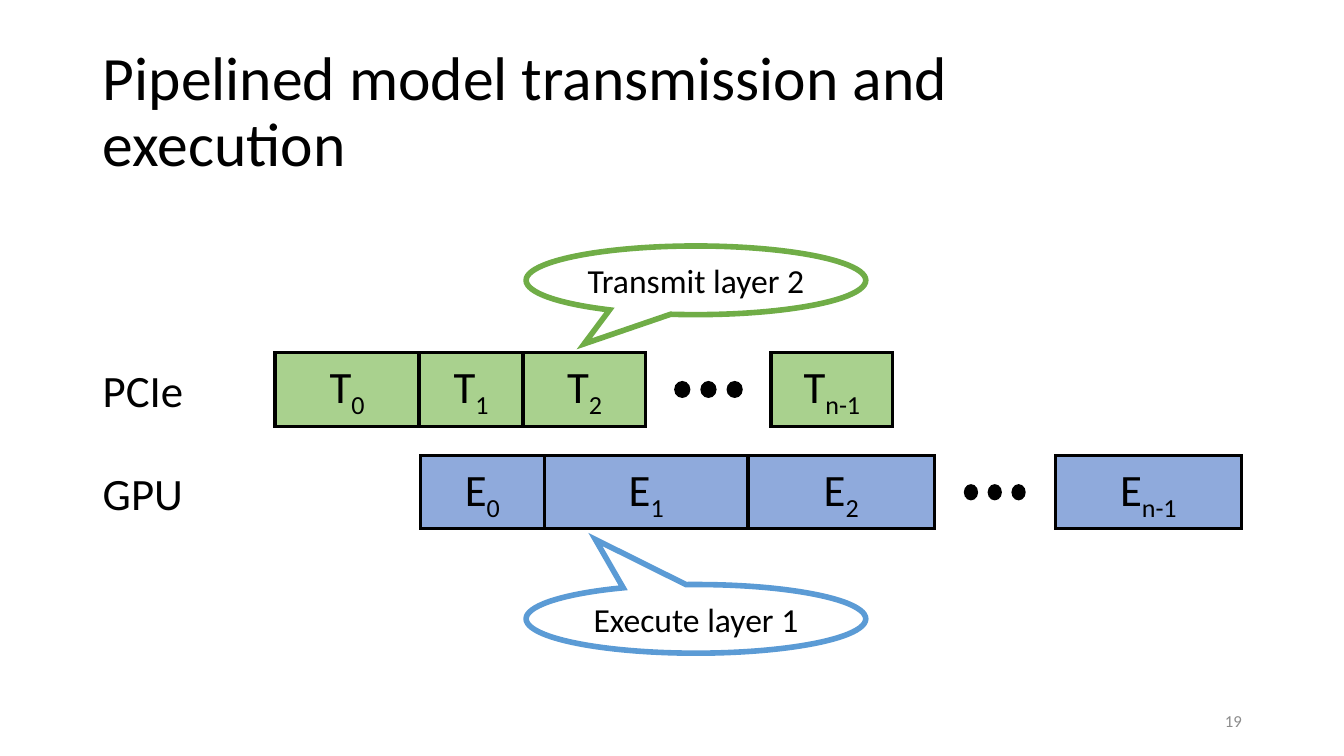
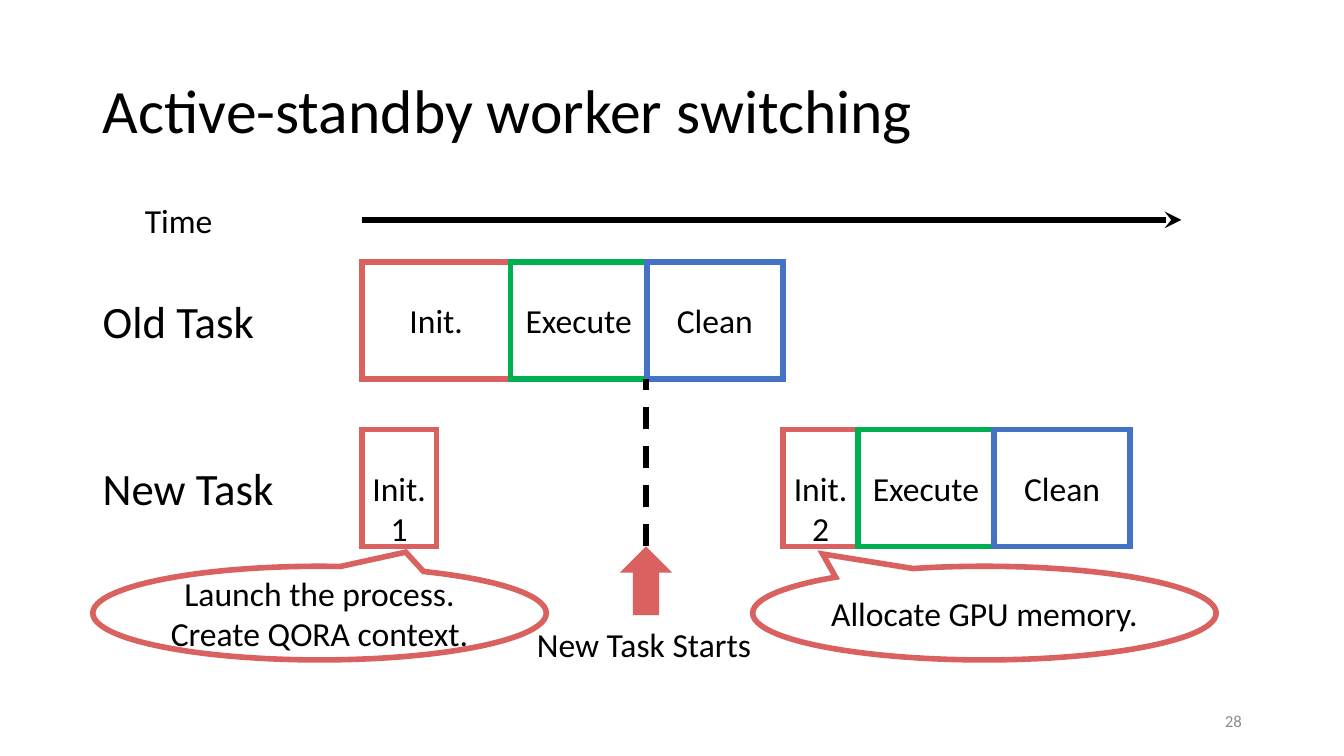
"""Build two slides on pipelined execution and worker switching."""
from lxml import etree
from pptx import Presentation
from pptx.dml.color import RGBColor
from pptx.enum import dml, shapes, text
from pptx.oxml import ns
from pptx.util import Cm, Pt

FONT = "Calibri"
BLACK = RGBColor(0x00, 0x00, 0x00)
WHITE = RGBColor(0xFF, 0xFF, 0xFF)
GREY = RGBColor(0x8C, 0x8C, 0x8C)
LIME = RGBColor(0xA9, 0xD1, 0x8E)
PERIWINKLE = RGBColor(0x8F, 0xAA, 0xDC)
LEAF = RGBColor(0x70, 0xAD, 0x47)
SKY = RGBColor(0x5B, 0x9B, 0xD5)
RED = RGBColor(0xD9, 0x61, 0x5F)
GREEN = RGBColor(0x00, 0xB0, 0x50)
BLUE = RGBColor(0x44, 0x72, 0xC4)
LEFT = 2.34
THICK = 4

PIPE_TITLE = ("Pipelined model transmission and execution", 24.82, "19")
PIPE_H = 1.85
PIPE_ROWS = [
    dict(label="PCIe", label_at=(8.99, 2.57), top=8.89, left=6.93, fill=LIME,
         layers=[("T_0", 3.63), ("T_1", 2.62), ("T_2", 3.1)],
         last=("T_n-1", 19.43, 3.07), dot=(0.41, 0.43), pitch=0.66),
    dict(label="GPU", label_at=(11.61, 2.54), top=11.48, left=10.59, fill=PERIWINKLE,
         layers=[("E_0", 3.13), ("E_1", 5.13), ("E_2", 4.7)],
         last=("E_n-1", 26.59, 4.7), dot=(0.36, 0.41), pitch=0.6),
]
PIPE_CALLOUTS = [
    (["Transmit layer 2"], (13.26, 6.2, 8.56, 1.73), (-0.329, 0.925), LEAF),
    (["Execute layer 1"], (13.26, 14.73, 8.56, 1.73), (-0.296, -1.156), SKY),
]

SWITCH_TITLE = ("Active-standby worker switching", 29.21, "28")
START, NEW_START, STAGE_H = 9.12, 19.74, 2.95
OLD_TOP, NEW_TOP = 6.6, 10.82
RUN = [(["Execute"], 3.43, GREEN), (["Clean"], 3.43, BLUE)]
STAGE_ROWS = [
    (START, OLD_TOP, [(["Init."], 3.75, RED)] + RUN),
    (START, NEW_TOP, [(["Init.", "1"], 1.88, RED)]),
    (NEW_START, NEW_TOP, [(["Init.", "2"], 1.88, RED)] + RUN),
]
SWITCH_LABELS = [
    ("Old Task", (LEFT, 7.26, 4.37, 1.63), 32),
    ("New Task", (LEFT, 11.48, 4.85, 1.63), 32),
    ("Time", (3.4, 4.9, 2.24, 1.27), 24),
    ("New Task Starts", (13.28, 15.6, 5.97, 1.27), 24),
]
SWITCH_CALLOUTS = [
    (["Launch the process.", "Create QORA context."],
     (LEFT, 14.27, 11.43, 2.36), (0.19, -0.651), RED),
    (["Allocate GPU memory."], (18.97, 14.27, 11.68, 2.36), (-0.349, -0.631), RED),
]


def write(tf, lines, size, color=BLACK, align=text.PP_ALIGN.LEFT):
    """Fill a text frame; an underscore starts a subscript."""
    for i, line in enumerate(lines):
        p = tf.add_paragraph() if i else tf.paragraphs[0]
        p.alignment = align
        p.font.name, p.font.size, p.font.color.rgb = FONT, Pt(size), color
        base, _, sub = line.partition("_")
        p.add_run().text = base
        if sub:
            r = p.add_run()
            r.text = sub
            r._r.get_or_add_rPr().set("baseline", "-25000")


def add_label(s, line, box, size, color=BLACK, align=text.PP_ALIGN.LEFT):
    """Add an unwrapped line of text."""
    tf = s.shapes.add_textbox(*map(Cm, box)).text_frame
    tf.word_wrap = False
    tf.vertical_anchor = text.MSO_ANCHOR.MIDDLE
    write(tf, [line], size, color, align)


def add_shape(s, kind, box, fill, line=None, width=THICK, lines=(), size=24):
    """Add a flat preset shape with sharp corners and centred text."""
    sp = s.shapes.add_shape(kind, *map(Cm, box))
    sp.shadow.inherit = False
    sp.fill.solid()
    sp.fill.fore_color.rgb = fill
    if line is None:
        sp.line.fill.background()
    else:
        sp.line.color.rgb, sp.line.width = line, Pt(width)
        etree.SubElement(sp.line._get_or_add_ln(), ns.qn("a:miter"), lim="800000")
    sp.text_frame.vertical_anchor = text.MSO_ANCHOR.MIDDLE
    write(sp.text_frame, lines, size, align=text.PP_ALIGN.CENTER)
    return sp


def add_callouts(s, callouts):
    """Add speech bubbles, each pointing by its two adjustments."""
    for lines, box, tip, color in callouts:
        sp = add_shape(s, shapes.MSO_SHAPE.OVAL_CALLOUT, box, WHITE, color, lines=lines)
        sp.adjustments[0], sp.adjustments[1] = tip


def add_line(s, *ends):
    """Add a thick black connector without a shadow."""
    c = s.shapes.add_connector(shapes.MSO_CONNECTOR.STRAIGHT, *map(Cm, ends))
    c.line.color.rgb, c.line.width = BLACK, Pt(THICK)
    etree.SubElement(c._element.spPr, ns.qn("a:effectLst"))
    return c


def add_slide(prs, title, width, number):
    """Add a slide with the shared title and page number."""
    s = prs.slides.add_slide(prs.slide_layouts[5])
    sp = s.shapes.title
    sp.left, sp.top, sp.width, sp.height = map(Cm, (LEFT, 1.02, width, 3.68))
    tf = sp.text_frame
    tf.auto_size = text.MSO_AUTO_SIZE.NONE
    tf.vertical_anchor = text.MSO_ANCHOR.MIDDLE
    write(tf, [title], 44)
    tf.paragraphs[0].line_spacing = 0.9
    add_label(s, number, (23.93, 17.65, 7.62, 1.01), 12, GREY, text.PP_ALIGN.RIGHT)
    return s


def add_layer(s, row, name, left, width):
    """Add one layer block of a pipeline row."""
    add_shape(s, shapes.MSO_SHAPE.RECTANGLE, (left, row["top"], width, PIPE_H),
              row["fill"], BLACK, 2.25, [name], 32)


def build_pipeline(prs):
    """Draw transmission and execution rows."""
    s = add_slide(prs, *PIPE_TITLE)
    add_callouts(s, PIPE_CALLOUTS)
    for row in PIPE_ROWS:
        label_top, label_w = row["label_at"]
        add_label(s, row["label"], (LEFT, label_top, label_w, 1.63), 32)
        x = row["left"]
        for name, width in row["layers"]:
            add_layer(s, row, name, x, width)
            x += width
        name, last_left, last_w = row["last"]
        add_layer(s, row, name, last_left, last_w)
        w, h = row["dot"]
        middle = (x + last_left) / 2
        for step in (-1, 0, 1):
            add_shape(s, shapes.MSO_SHAPE.OVAL,
                      (middle + step * row["pitch"] - w / 2,
                       row["top"] + (PIPE_H - h) / 2, w, h), BLACK)


def build_switching(prs):
    """Draw old and new tasks along a time axis."""
    s = add_slide(prs, *SWITCH_TITLE)
    for label in SWITCH_LABELS:
        add_label(s, *label)
    axis = add_line(s, START, 5.54, 29.77, 5.54)
    etree.SubElement(axis.line._get_or_add_ln(), ns.qn("a:tailEnd"), type="stealth")
    for x, top, stages in STAGE_ROWS:
        for lines, width, color in stages:
            sp = add_shape(s, shapes.MSO_SHAPE.RECTANGLE, (x, top, width, STAGE_H),
                           WHITE, color, lines=lines)
            if len(lines) > 1:
                sp.text_frame.margin_top, sp.text_frame.margin_bottom = Cm(1.02), 0
            x += width
    arrow_top, arrow_w, middle = NEW_TOP + STAGE_H, 1.32, 16.28
    add_shape(s, shapes.MSO_SHAPE.UP_ARROW,
              (middle - arrow_w / 2, arrow_top, arrow_w, 1.73), RED)
    marker = add_line(s, middle, arrow_top, middle, OLD_TOP + STAGE_H)
    marker.line.dash_style = dml.MSO_LINE.DASH
    add_callouts(s, SWITCH_CALLOUTS)


prs = Presentation()
prs.slide_width, prs.slide_height = Cm(33.87), Cm(19.05)
build_pipeline(prs)
build_switching(prs)
prs.save("out.pptx")
